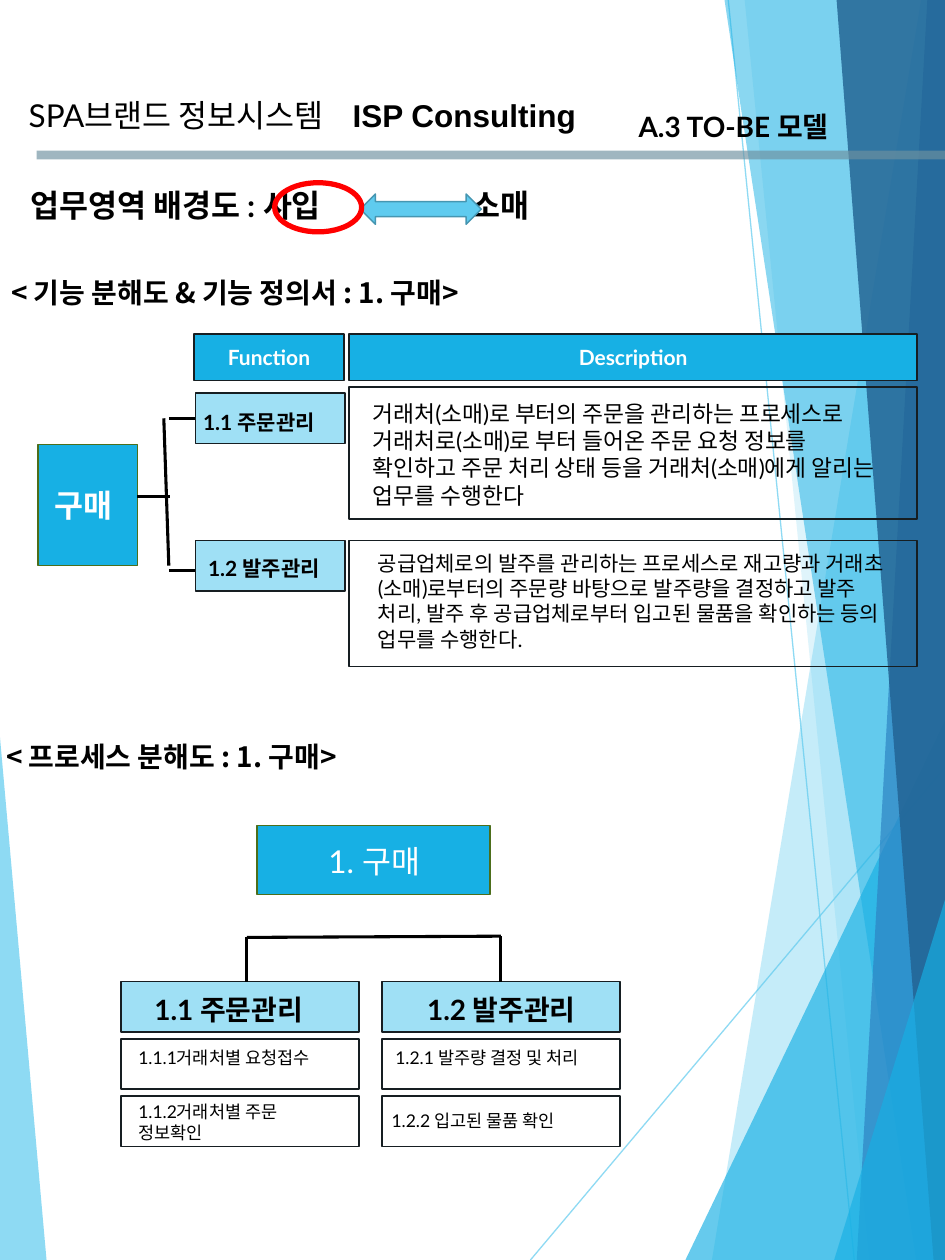
import pptx
import pptx.dml.color
import pptx.enum.shapes
import pptx.enum.text
import pptx.oxml
import pptx.oxml.ns
import pptx.util
from dataclasses import dataclass

Inches = pptx.util.Inches
SHAPES = pptx.enum.shapes.MSO_SHAPE
ALIGN = pptx.enum.text.PP_ALIGN


@dataclass(frozen=True)
class Theme:
    sky: str = "5FCBEF"
    blue: str = "17B0E4"
    pale: str = "9FE0F5"
    mid: str = "2E83C3"
    navy: str = "226292"
    rule: str = "6E91A0"
    arrow_edge: str = "4696B1"
    olive: str = "4C6E1B"
    edge: str = "161E22"
    black: str = "000000"
    white: str = "FFFFFF"
    red: str = "FF0000"
    latin: str = "Lato"
    korean: str = "Noto Sans CJK KR"
    brand: str = "Arial"
    title: int = 18
    heading: int = 16
    body: int = 13
    label: int = 12
    small: int = 10
    thin: float = 0.85
    branch: float = 1.75


T = Theme()

# Background facets: colour, opacity in percent, corner points
FACETS_BELOW = [(T.sky, 70, [(0, 5.85), (0.37, 10), (0, 10)])]
FACETS = [
    (T.sky, 36, [(7.31, 0), (5.65, 10), (7.5, 10), (7.5, 0)]),
    (T.sky, 20, [(5.91, 0), (6.9, 10), (7.5, 10), (7.5, 0)]),
    (T.blue, 66, [(5.44, 10), (7.5, 5.72), (7.5, 10)]),
    (T.blue, 50, [(5.75, 0), (7.27, 10), (7.5, 10), (7.5, 0)]),
    (T.mid, 70, [(7.36, 0), (6.8, 10), (7.5, 10), (7.5, 0)]),
    (T.navy, 82, [(6.64, 0), (7.41, 10), (7.5, 10), (7.5, 0)]),
    (T.blue, 66, [(6.62, 10), (7.5, 7.14), (7.5, 10)]),
]
HAIRLINES = [((4.21, 10), (7.5, 6.09)), ((5.78, 0), (6.78, 10))]

# Headings: text, left, top, width, height, size, font, bold, wrap
HEADINGS = [
    ("ISP Consulting", 2.7, 0.71, 2.07, 0.4, T.title, T.brand, True, False),
    ("SPA브랜드 정보시스템", 0.13, 0.71, 2.74, 0.4, T.title, T.latin, False, False),
    ("A.3 TO-BE 모델", 4.97, 0.82, 1.76, 0.37, T.heading, T.latin, True, False),
    ("업무영역 배경도 : 사입\t소매", 0.14, 1.43, 5.32, 0.4, T.title, T.latin, True, True),
    ("< 기능 분해도 & 기능 정의서 : 1. 구매>", -0.01, 2.14, 5.69, 0.37,
     T.heading, T.korean, True, True),
    ("< 프로세스 분해도 : 1. 구매>", -0.05, 5.82, 3.3, 0.37, T.heading, T.korean, True, True),
]
RETAIL_TAB = 3.5

# Function table: label, label box, label text place, description box and text
COLUMNS = [("Function", 1.54, 1.19), ("Description", 2.77, 4.51)]
FUNCTIONS = [
    ("1.1 주문관리", 3.12, (1.39, 3.2), (3.07, 1.05), (2.86, 3.12, 4.26, 0.98), T.body,
     "거래처(소매)로 부터의 주문을 관리하는 프로세스로 거래처로(소매)로 부터 들어온 주문 요청 정보를 "
     "확인하고 주문 처리 상태 등을 거래처(소매)에게 알리는 업무를 수행한다"),
    ("1.2 발주관리", 4.29, (1.43, 4.36), (4.29, 1), (2.9, 4.32, 4.34, 0.91), T.label,
     "공급업체로의 발주를 관리하는 프로세스로 재고량과 거래초 (소매)로부터의 주문량 바탕으로 발주량을 "
     "결정하고 발주 처리, 발주 후 공급업체로부터 입고된 물품을 확인하는 등의 업무를 수행한다."),
]

# Process tree: column left, heading with its place, steps with their places
PROCESSES = [
    (0.96, "1.1 주문관리", (0.94, 7.83, 1.75, 0.37),
     [("1.1.1거래처별 요청접수", (1, 8.26, 1.79, 0.27)),
      ("1.1.2거래처별 주문 정보확인", (1, 8.69, 1.81, 0.44))]),
    (3.03, "1.2 발주관리", (3.05, 7.83, 1.86, 0.34),
     [("1.2.1 발주량 결정 및 처리", (3.04, 8.26, 1.93, 0.27)),
      ("1.2.2 입고된 물품 확인", (3.01, 8.76, 1.93, 0.27))]),
]
PROCESS_TOP, PROCESS_PITCH, PROCESS_SIZE = 7.79, 0.455, (1.89, 0.4)

presentation = pptx.Presentation()
presentation.slide_width, presentation.slide_height = Inches(7.5), Inches(10)
slide = presentation.slides.add_slide(presentation.slide_layouts[6])


def color(value):
    return pptx.dml.color.RGBColor.from_string(value)


def add_child(parent, tag, **attributes):
    child = pptx.oxml.parse_xml(f"<{tag} {pptx.oxml.ns.nsdecls('a')}/>")
    for name, value in attributes.items():
        child.set(name, str(value))
    parent.append(child)
    return child


def set_opacity(element, percent):
    for value in element.iter(pptx.oxml.ns.qn("a:srgbClr")):
        add_child(value, "a:alpha", val=percent * 1000)


def add_facet(fill, opacity, points):
    corners = [(Inches(x), Inches(y)) for x, y in points]
    builder = slide.shapes.build_freeform(*corners[0], scale=1.0)
    builder.add_line_segments(corners[1:], close=True)
    shape = builder.convert_to_shape()
    shape.shadow.inherit = False
    shape.fill.solid()
    shape.fill.fore_color.rgb = color(fill)
    shape.line.fill.background()
    set_opacity(shape._element.spPr, opacity)


def add_line(start, end, value=T.black, width=T.branch, opacity=100):
    line = slide.shapes.add_connector(
        pptx.enum.shapes.MSO_CONNECTOR.STRAIGHT, *map(Inches, start + end))
    line.line.color.rgb = color(value)
    line.line.width = pptx.util.Pt(width)
    if opacity < 100:
        set_opacity(line._element.spPr, opacity)
    add_child(line._element.spPr, "a:effectLst")
    return line


def add_box(place, fill=None, edge=T.edge, width=T.thin, kind=SHAPES.RECTANGLE):
    shape = slide.shapes.add_shape(kind, *map(Inches, place))
    shape.shadow.inherit = False
    if fill:
        shape.fill.solid()
        shape.fill.fore_color.rgb = color(fill)
    else:
        shape.fill.background()
    shape.line.color.rgb = color(edge)
    shape.line.width = pptx.util.Pt(width)
    return shape


def write(shape, text, size, value=T.black, bold=False, font=T.latin, align=ALIGN.LEFT):
    paragraph = shape.text_frame.paragraphs[0]
    paragraph.alignment = align
    if "\t" in text:
        tabs = add_child(paragraph._p.get_or_add_pPr(), "a:tabLst")
        add_child(tabs, "a:tab", pos=Inches(RETAIL_TAB), algn="l")
    run = paragraph.add_run()
    run.text = text
    run.font.size, run.font.bold, run.font.name = pptx.util.Pt(size), bold, font
    run.font.color.rgb = color(value)


def add_text(place, text, size, wrap=True, **style):
    box = slide.shapes.add_textbox(*map(Inches, place))
    box.text_frame.word_wrap = wrap
    box.text_frame.auto_size = pptx.enum.text.MSO_AUTO_SIZE.SHAPE_TO_FIT_TEXT
    write(box, text, size, **style)


# Background
for facet in FACETS_BELOW:
    add_facet(*facet)
for start, end in HAIRLINES:
    add_line(start, end, T.sky, 0.75, 70)
for facet in FACETS:
    add_facet(*facet)

# Header and headings
add_line((0.29, 1.23), (7.5, 1.23), T.rule, 5, 65)
for text, left, top, width, height, size, font, bold, wrap in HEADINGS:
    add_text((left, top, width, height), text, size, wrap, font=font, bold=bold)
add_box((2.86, 1.54, 0.96, 0.24), T.sky, T.arrow_edge, kind=SHAPES.LEFT_RIGHT_ARROW)
add_box((2.18, 1.45, 0.69, 0.39), edge=T.red, width=3, kind=SHAPES.OVAL)

# Function breakdown
add_box((0.3, 3.53, 0.79, 0.96), T.blue, T.olive)
add_text((0, 3.81, 1.33, 0.4), "구매", T.title, value=T.white, bold=True, align=ALIGN.CENTER)
for text, left, width in COLUMNS:
    header = add_box((left, 2.65, width, 0.37), T.blue)
    header.text_frame.vertical_anchor = pptx.enum.text.MSO_ANCHOR.MIDDLE
    write(header, text, T.label, T.white, True, align=ALIGN.CENTER)
function_boxes = []
for label, top, label_at, (box_top, box_height), text_at, size, description in FUNCTIONS:
    function_boxes.append(add_box((1.55, top, 1.19, 0.4), T.pale))
    add_text(label_at + (1.33, 0.3), label, T.label, bold=True, align=ALIGN.CENTER)
    add_box((2.77, box_top, 4.51, box_height))
    add_text(text_at, description, size)
add_line((1.09, 3.94), (1.35, 3.94))
add_line((1.34, 3.32), (1.55, 3.32)).end_connect(function_boxes[0], 1)
add_line((1.34, 4.53), (1.55, 4.53))
add_line((1.34, 4.49), (1.3, 3.32))

# Process breakdown
add_box((2.04, 6.55, 1.85, 0.55), T.blue, T.olive)
add_text((2.18, 6.63, 1.58, 0.4), "1. 구매", T.title, value=T.white, align=ALIGN.CENTER)
process_boxes = []
for left, heading, heading_at, steps in PROCESSES:
    process_boxes.append(add_box((left, PROCESS_TOP) + PROCESS_SIZE, T.pale))
    add_text(heading_at, heading, T.heading, bold=True, align=ALIGN.CENTER)
    for row, (step, step_at) in enumerate(steps, 1):
        add_box((left, PROCESS_TOP + row * PROCESS_PITCH) + PROCESS_SIZE)
        add_text(step_at, step, T.small)
branch_right = PROCESSES[1][0] + PROCESS_SIZE[0] / 2
add_line((1.96, 7.44), (branch_right, 7.43))
add_line((1.96, PROCESS_TOP), (1.96, 7.44))
add_line((branch_right, 7.43), (branch_right, PROCESS_TOP)).end_connect(process_boxes[1], 0)

presentation.save("out.pptx")
